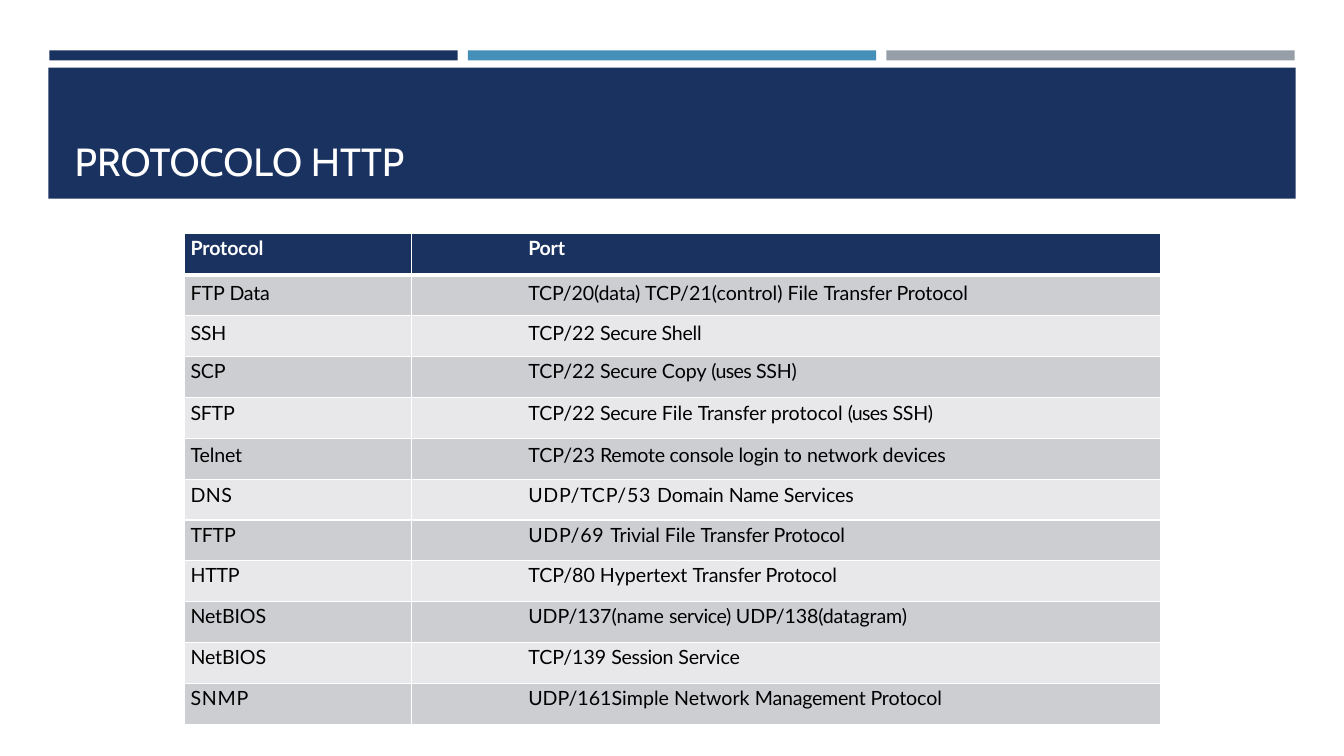
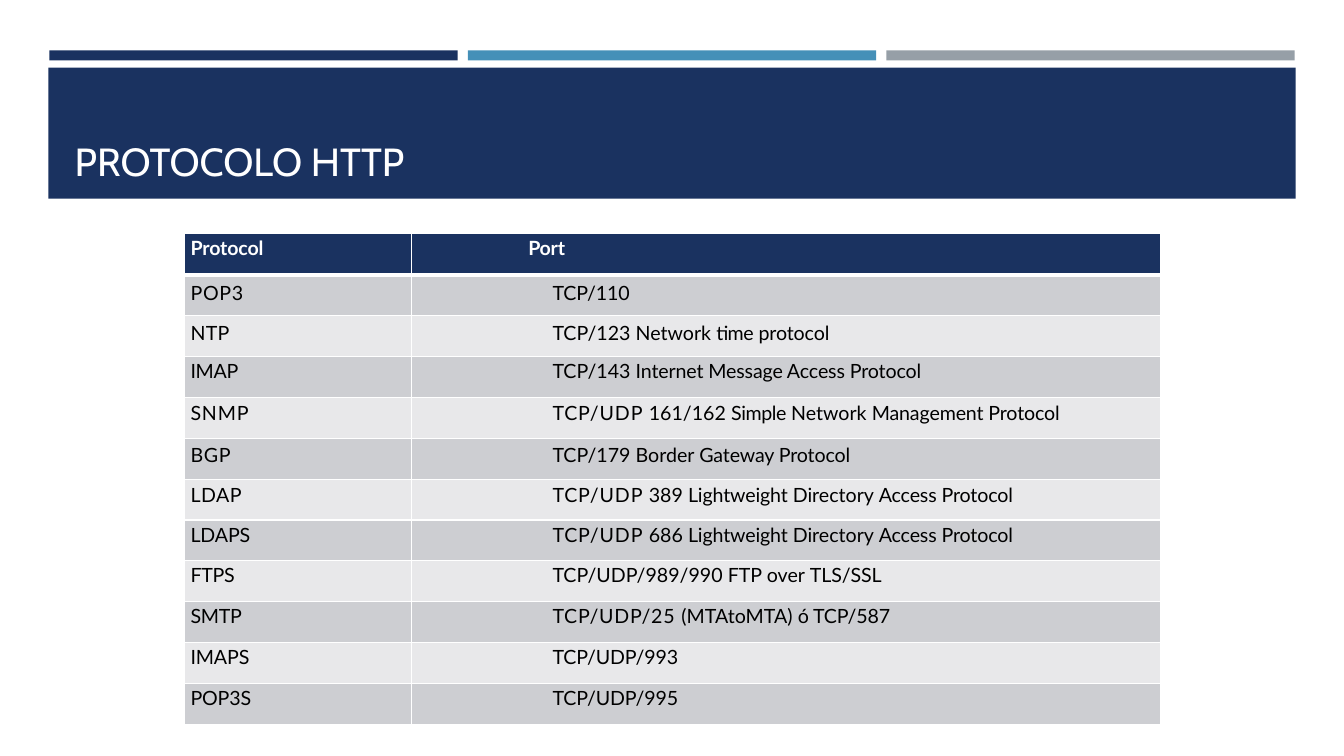
"""Builds two slides that list network protocols and their ports."""
from lxml import etree
from pptx import Presentation
from pptx import util as u
from pptx.dml.color import RGBColor
from pptx.enum import shapes, text
from pptx.oxml.ns import qn

COLORS = {"navy": "1A3260", "blue": "4590B8", "gray": "969FA7", "white": "FFFFFF",
          "black": "000000", "dark_row": "CDCED2", "light_row": "E8E8EA"}
TITLE_FONT, BODY_FONT = "Cabin", "Lato"
TITLE = "PROTOCOLO HTTP"
HEADER = ([("Protocol", -0.1)], [("Port", -0.2)])
PORT_INDENT = 1.16
TOP_GAPS = [2, 4.3, 4.3, 2, 3, 3.6, 2.7, 2, 2, 2, 2, 2]

# Each cell is a list of (text, letter spacing in points).
TABLES = [
    {"indent": 1.16, "rows": [
        ([("FTP ", 0), ("Data", -0.2)],
         [("TCP/20(data) ", -0.1), ("TCP/21(control) File ", 0), ("Transfer Protocol", -0.1)]),
        ([("SSH", -0.2)], [("TCP/22 ", 0), ("Secure Shell", -0.2)]),
        ([("SCP", -0.2)],
         [("TCP/22 ", 0), ("Secure ", -0.2), ("Copy ", 0), ("(uses ", -0.5), ("SSH)", -0.2)]),
        ([("SFTP", -0.2)],
         [("TCP/22 ", 0), ("Secure ", -0.2), ("File ", 0), ("Transfer ", -0.1),
          ("protocol ", 0), ("(uses ", -0.5), ("SSH)", -0.2)]),
        ([("Telnet", -0.1)],
         [("TCP/23 ", 0), ("Remote console login ", -0.2), ("to ", 0),
          ("network devices", -0.1)]),
        ([("DNS", 0.3)],
         [("UDP/TCP/53 ", 0.5), ("Domain ", -0.1), ("Name ", -0.2), ("Services", -0.1)]),
        ([("TFTP", -0.2)],
         [("UDP/69 ", 0.5), ("Trivial ", -0.1), ("File ", 0), ("Transfer Protocol", -0.1)]),
        ([("HTTP", -0.2)], [("TCP/80 Hypertext ", 0), ("Transfer Protocol", -0.1)]),
        ([("NetBIOS", -0.1)],
         [("UDP/137(name ", 0), ("service) ", -0.3), ("UDP/138(datagram)", -0.1)]),
        ([("NetBIOS", -0.1)], [("TCP/139 ", 0), ("Session ", -0.3), ("Service", -0.1)]),
        ([("SNMP", 0.5)],
         [("UDP/161Simple Network ", 0), ("Management ", -0.2), ("Protocol", -0.1)]),
    ]},
    {"indent": 1.4, "rows": [
        ([("POP3", 0.5)], [("TCP/110", -0.1)]),
        ([("NTP", 0.2)], [("TCP/123 Network ", 0), ("time ", -0.2), ("protocol", -0.1)]),
        ([("IMAP", -0.2)], [("TCP/143 ", 0), ("Internet Message Access Protocol", -0.1)]),
        ([("SNMP", 0.6)],
         [("TCP/UDP ", 0.6), ("161/162 ", 0), ("Simple ", -0.3), ("Network ", 0),
          ("Management Protocol", -0.1)]),
        ([("BGP", 0.5)], [("TCP/179 Border ", 0), ("Gateway Protocol", -0.1)]),
        ([("LDAP", 0.3)],
         [("TCP/UDP ", 0.6), ("389 ", 0), ("Lightweight ", -0.1), ("Directory ", 0),
          ("Access Protocol", -0.1)]),
        ([("LDAPS", -0.1)],
         [("TCP/UDP ", 0.6), ("686 ", 0), ("Lightweight ", -0.1), ("Directory ", 0),
          ("Access Protocol", -0.1)]),
        ([("FTPS", -0.2)], [("TCP/UDP/989/990 FTP over ", 0), ("TLS/SSL", -0.1)]),
        ([("SMTP", -0.2)],
         [("TCP/UDP/25 ", 0.5), ("(MTAtoMTA) ", 0), ("ó TCP/587", -0.1)]),
        ([("IMAPS", -0.1)], [("TCP/UDP/993", -0.1)]),
        ([("POP3S", -0.1)], [("TCP/UDP/995", -0.1)]),
    ]},
]


def rgb(name):
    """Return a palette colour."""
    return RGBColor.from_string(COLORS[name])


def add_run(p, words, font, size, color, bold=False):
    """Append one formatted run."""
    r = p.add_run()
    r.text = words
    r.font.name, r.font.size, r.font.bold = font, u.Pt(size), bold
    r.font.color.rgb = rgb(color)
    return r


def add_bands(s, layout):
    """Draw the header bands and hand them to the shared layout."""
    bands = [(0.49 + i * 4.15, 0.5, 4.05, 0.1, c)
             for i, c in enumerate(("navy", "blue", "gray"))]
    for *box, color in bands + [(0.48, 0.67, 12.37, 1.3, "navy")]:
        sp = s.shapes.add_shape(shapes.MSO_SHAPE.RECTANGLE, *map(u.Inches, box))
        sp.shadow.inherit = False
        sp.fill.solid()
        sp.fill.fore_color.rgb = rgb(color)
        sp.line.fill.background()
        layout.shapes._spTree.append(sp._element)


def set_title(s):
    """Place and fill the title placeholder."""
    sp = s.shapes.title
    sp.left, sp.top, sp.width, sp.height = map(u.Inches, (0.64, 0.77, 12.06, 1.11))
    tf = sp.text_frame
    tf.vertical_anchor = text.MSO_ANCHOR.BOTTOM
    p = tf.paragraphs[0]
    p.alignment = text.PP_ALIGN.LEFT
    add_run(p, TITLE, TITLE_FONT, 28, "white")


def set_borders(cell, bottom):
    """Give a cell white borders."""
    tc_pr = cell._tc.get_or_add_tcPr()
    for side, width in (("L", 1), ("R", 1), ("T", 1), ("B", bottom)):
        ln = etree.SubElement(tc_pr, qn(f"a:ln{side}"), w=str(u.Pt(width)))
        fill = etree.SubElement(ln, qn("a:solidFill"))
        etree.SubElement(fill, qn("a:srgbClr"), val=COLORS["white"])


def fill_cell(cell, runs, indent, gap, fill, is_header):
    """Format one table cell and write its runs."""
    set_borders(cell, 3 if is_header else 1)
    cell.fill.solid()
    cell.fill.fore_color.rgb = rgb(fill)
    cell.margin_left = cell.margin_right = cell.margin_bottom = 0
    cell.margin_top = u.Pt(gap)
    p = cell.text_frame.paragraphs[0]
    p.space_before = u.Pt(gap)
    p_pr = p._p.get_or_add_pPr()
    p_pr.set("marL", str(u.Inches(indent)))
    p_pr.set("indent", "0")
    for words, spacing in runs:
        r = add_run(p, words, BODY_FONT, 14, "white" if is_header else "black", is_header)
        r._r.get_or_add_rPr().set("spc", str(round(spacing * 100)))


def add_port_table(s, rows, indent):
    """Add the table of protocols and ports."""
    height = u.Inches(4.87)
    table = s.shapes.add_table(len(rows) + 1, 2, u.Inches(1.83), u.Inches(2.32),
                               u.Inches(9.68), height).table
    table.horz_banding = False
    for col, width in zip(table.columns, (2.25, 7.43)):
        col.width = u.Inches(width)
    for i, (row, gap) in enumerate(zip([HEADER] + rows, TOP_GAPS)):
        table.rows[i].height = height // len(TOP_GAPS)
        fill = "navy" if i == 0 else "dark_row" if i % 2 else "light_row"
        indents = (0.06, indent if i else PORT_INDENT)
        for j, runs in enumerate(row):
            fill_cell(table.cell(i, j), runs, indents[j], gap, fill, i == 0)


def main():
    """Build and save the presentation."""
    prs = Presentation()
    prs.slide_width, prs.slide_height = u.Inches(13.33), u.Inches(7.5)
    layout = prs.slide_layouts[5]
    for i, content in enumerate(TABLES):
        s = prs.slides.add_slide(layout)
        if i == 0:
            add_bands(s, layout)
        set_title(s)
        add_port_table(s, content["rows"], content["indent"])
    prs.save("out.pptx")


if __name__ == "__main__":
    main()
